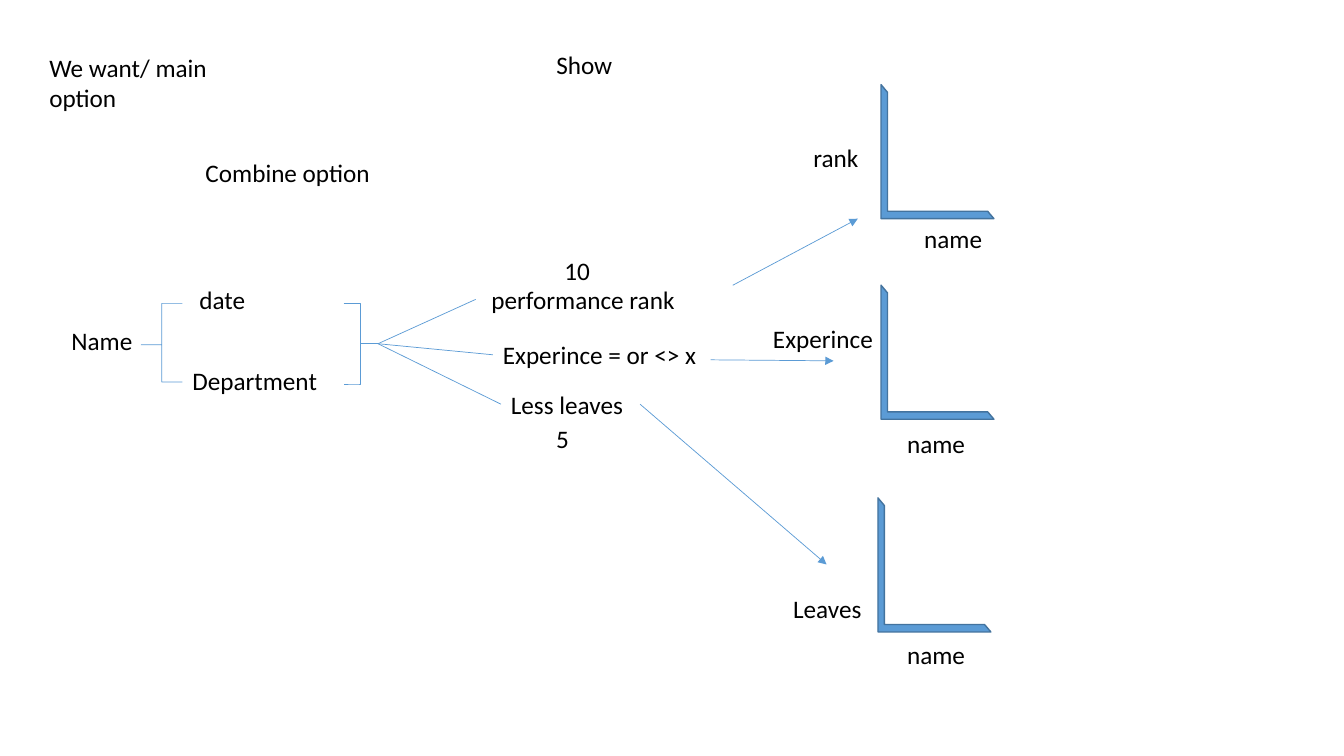
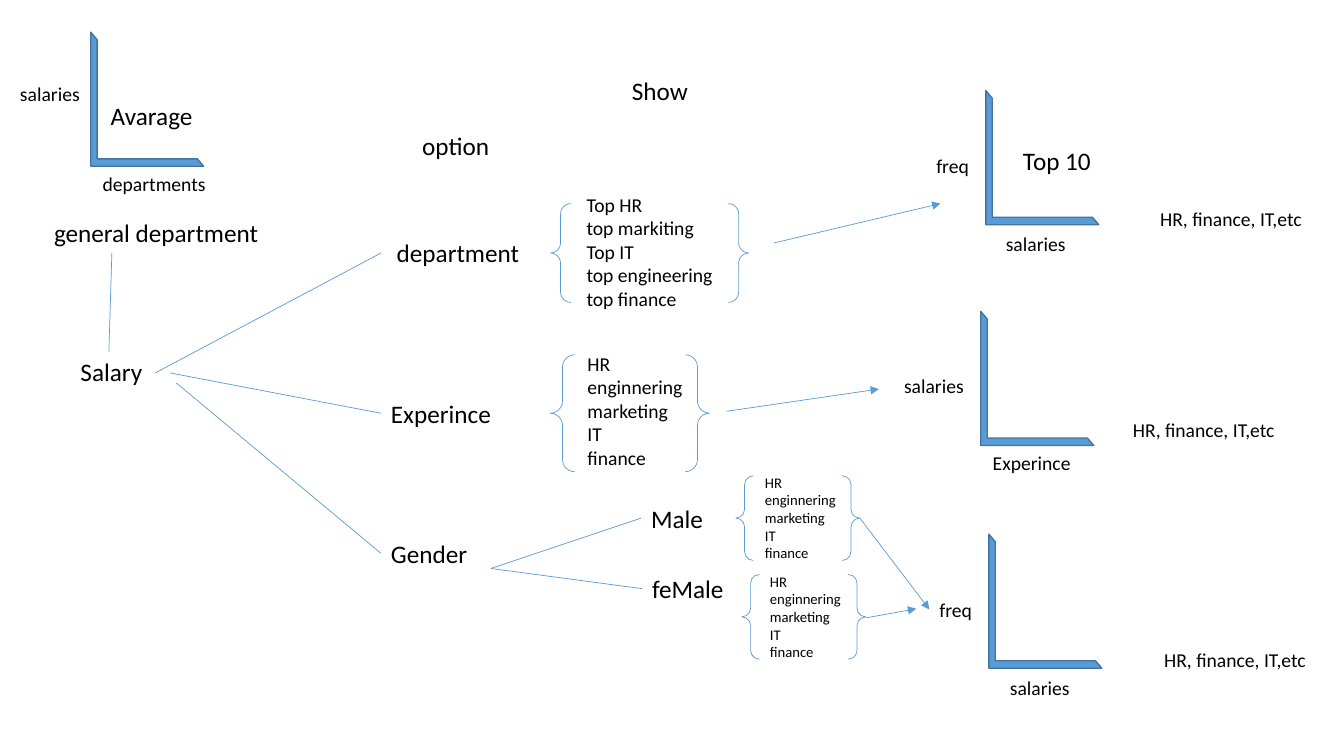
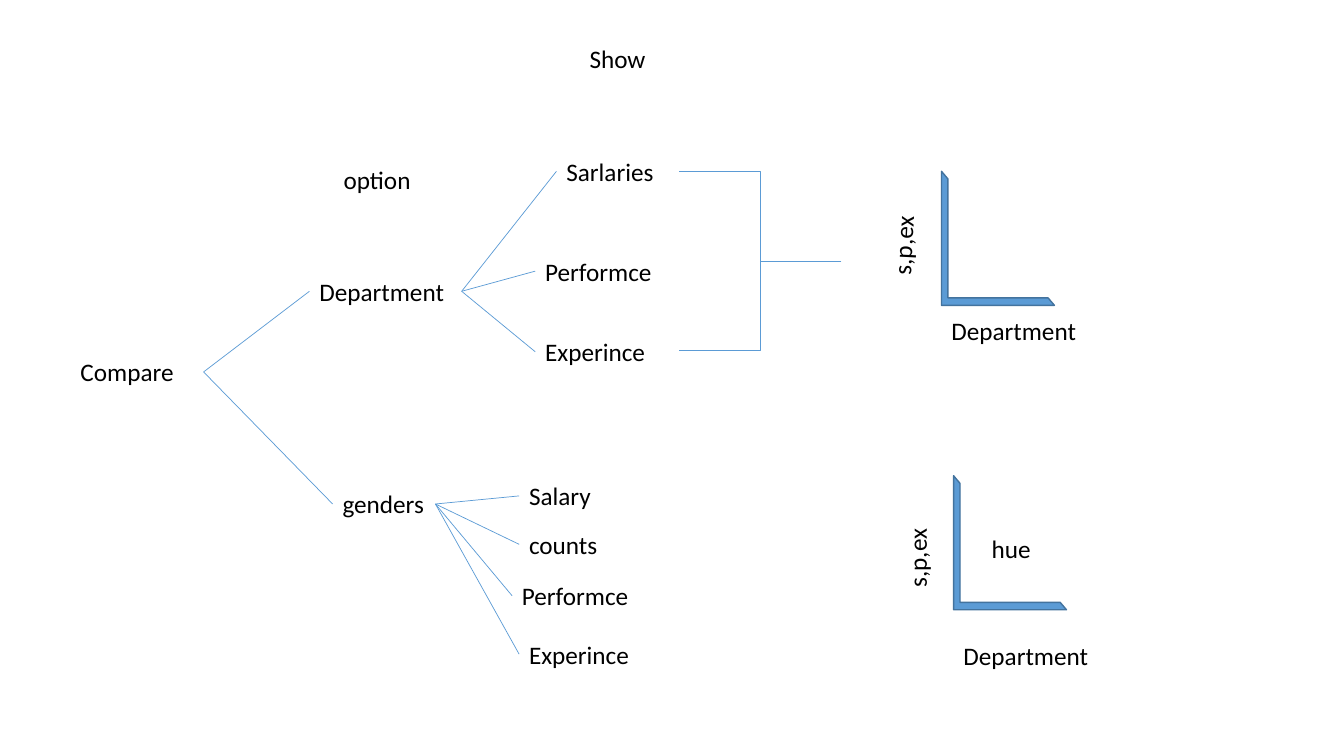
from dataclasses import dataclass, field

from pptx import Presentation, util as u
from pptx.dml.color import RGBColor
from pptx.enum import shapes, text
from pptx.oxml.ns import qn
from pptx.oxml.xmlchemy import OxmlElement

COLS, ROWS = 133.33, 75
CELL = 0.1
FONT = "Calibri"
INK, BLUE, EDGE = "000000", "5B9BD5", "43739E"
HAIRLINE = 0.5
PLOT_W, PLOT_H = 11.2, 13.3
SNAP = 0.3

Point = tuple[float, float]


@dataclass
class Label:
    text: str
    left: float
    top: float
    width: float
    size: float = 18
    wrap: bool = False
    indent: float = 0
    rotation: float = 0

    @property
    def height(self) -> float:
        return len(self.text.splitlines()) * self.size / 6 + 1

    def sides(self) -> list[Point]:
        right, bottom = self.left + self.width, self.top + self.height
        x, y = self.left + self.width / 2, self.top + self.height / 2
        return [(x, self.top), (self.left, y), (x, bottom), (right, y)]


@dataclass
class Brace:
    kind: shapes.MSO_SHAPE
    left: float
    top: float
    width: float
    height: float
    bends: tuple[float, ...]


@dataclass
class Fan:
    start: Point
    ends: list[Point]
    arrow: bool = False


@dataclass
class Page:
    labels: list[Label]
    plots: list[Point]
    braces: list[Brace]
    fans: list[Fan] = field(default_factory=list)


def grid(cells: float) -> u.Length:
    return u.Inches(cells * CELL)


def colour(value: str) -> RGBColor:
    return RGBColor.from_string(value)


def set_line(line, value: str, width: float) -> None:
    line.color.rgb = colour(value)
    line.width = u.Pt(width)


def draw_label(s, label: Label):
    sp = s.shapes.add_textbox(*map(grid, (label.left, label.top, label.width, label.height)))
    sp.rotation = label.rotation
    tf = sp.text_frame
    tf.word_wrap = label.wrap
    tf.auto_size = text.MSO_AUTO_SIZE.SHAPE_TO_FIT_TEXT
    tf.margin_left = grid(1 + label.indent)
    tf.text = label.text
    for p in tf.paragraphs:
        p.font.name = FONT
        p.font.size = u.Pt(label.size)
        p.font.color.rgb = colour(INK)
    return sp


def draw_shape(s, kind: shapes.MSO_SHAPE, box: tuple[float, ...], bends: tuple[float, ...]):
    sp = s.shapes.add_shape(kind, *map(grid, box))
    sp.shadow.inherit = False
    for i, bend in enumerate(bends):
        sp.adjustments[i] = bend
    return sp


def draw_plot(s, corner: Point) -> None:
    sp = draw_shape(s, shapes.MSO_SHAPE.HALF_FRAME, (*corner, PLOT_W, PLOT_H), (0.066, 0.057))
    sp.element.spPr.find(qn("a:xfrm")).set("flipV", "1")
    sp.fill.solid()
    sp.fill.fore_color.rgb = colour(BLUE)
    set_line(sp.line, EDGE, 1)


def draw_brace(s, brace: Brace) -> None:
    box = (brace.left, brace.top, brace.width, brace.height)
    sp = draw_shape(s, brace.kind, box, brace.bends)
    sp.fill.background()
    set_line(sp.line, BLUE, HAIRLINE)


def join(connect, point: Point, boxes: list) -> None:
    for label, sp in boxes:
        for site, (x, y) in enumerate(label.sides()):
            if abs(x - point[0]) < SNAP and abs(y - point[1]) < SNAP:
                connect(sp, site)
                return


def draw_fan(s, fan: Fan, boxes: list) -> None:
    for end in fan.ends:
        line = s.shapes.add_connector(shapes.MSO_CONNECTOR.STRAIGHT, *map(grid, (*fan.start, *end)))
        set_line(line.line, BLUE, HAIRLINE)
        line.element.spPr.append(OxmlElement("a:effectLst"))
        if fan.arrow:
            tail = OxmlElement("a:tailEnd")
            tail.set("type", "triangle")
            line.line._get_or_add_ln().append(tail)
        join(line.begin_connect, fan.start, boxes)
        join(line.end_connect, end, boxes)


def draw_page(prs, page: Page) -> None:
    s = prs.slides.add_slide(prs.slide_layouts[6])
    for corner in page.plots:
        draw_plot(s, corner)
    for brace in page.braces:
        draw_brace(s, brace)
    boxes = [(label, draw_label(s, label)) for label in page.labels]
    for fan in page.fans:
        draw_fan(s, fan, boxes)


LEFT, RIGHT, PAIR = (
    shapes.MSO_SHAPE.LEFT_BRACE, shapes.MSO_SHAPE.RIGHT_BRACE, shapes.MSO_SHAPE.DOUBLE_BRACE)
CURVE = (0.104,)
SPACE = 0.56
TEAMS = "HR\nenginnering\nmarketing\nIT\nfinance"
TOP_TEAMS = "Top HR\ntop markiting\nTop IT\ntop engineering\ntop finance"
TEAM_LINE = "HR, finance, IT,etc"

RANKING = Page(
    labels=[
        Label("We want/ main\voption", 3.9, 4.7, 20.2, wrap=True),
        Label("Combine option", 19.4, 15.1, 19.1),
        Label("Show", 54.2, 4.4, 8.2),
        Label("Name", 6.1, 31.8, 13.1, wrap=True),
        Label("date", 18.8, 27.7, 13.1, wrap=True),
        Label("Department", 18.1, 35.8, 15.1, wrap=True),
        Label("10", 55, 24.8, 4.6),
        Label("performance rank", 47.2, 27.7, 21, indent=SPACE),
        Label("Experince = or <> x", 48.9, 33.2, 21.4),
        Label("Less leaves", 49.7, 38.1, 13.8),
        Label("5", 54.2, 41.5, 3.3),
        Label("rank", 79.7, 13.6, 6.5),
        Label("name", 90.7, 21.7, 7.8),
        Label("Experince", 75.7, 31.6, 12),
        Label("name", 89, 42, 7.8),
        Label("Leaves", 77.7, 58.4, 9.5),
        Label("name", 89, 62.9, 7.8),
    ],
    plots=[(87.4, 8.4), (87.4, 28.3), (87.1, 49.4)],
    braces=[
        Brace(LEFT, 14, 30.1, 4.1, 7.8, (0, 0.527)),
        Brace(RIGHT, 34.1, 30.1, 3.4, 8, (0, 0.5)),
    ],
    fans=[
        Fan((37.5, 34.1), [(47.2, 29.7), (48.9, 35.3), (49.7, 40.1)]),
        Fan((72.7, 28.3), [(85.1, 21.7)], arrow=True),
        Fan((70.5, 35.7), [(82.7, 35.8)], arrow=True),
        Fan((63.7, 40.2), [(82, 56)], arrow=True),
    ],
)

SALARY = Page(
    labels=[
        Label("salaries", 1, 7.6, 8, 14),
        Label("Avarage", 10, 9.5, 10.8),
        Label("departments", 9.2, 16.6, 12.4, 14),
        Label("general department", 3.8, 21.1, 23.1, indent=SPACE),
        Label("Salary", 7, 34.9, 13.2, wrap=True),
        Label("option", 40.9, 12.4, 9.3),
        Label("Show", 61.7, 7, 8.2),
        Label("department", 37.8, 23.1, 15.5, indent=SPACE),
        Label("Experince", 37.8, 39, 12.6),
        Label("Gender", 37.8, 52.9, 10.8),
        Label("Male", 63.6, 49.4, 7.8),
        Label("feMale", 63.7, 56.4, 9.8),
        Label(TOP_TEAMS, 57.2, 18.6, 16.2, 14, wrap=True),
        Label(TEAMS, 57.3, 34.4, 12, 14),
        Label(TEAMS, 74.9, 46.5, 9.5, 10.5),
        Label(TEAMS, 75.4, 56.3, 9.5, 10.5),
        Label("freq", 91.9, 14.8, 5.3, 14),
        Label("Top 10", 100.5, 13.9, 8.8),
        Label("salaries", 98.8, 22.5, 8, 14),
        Label(TEAM_LINE, 114.1, 20, 16.2, 14),
        Label("salaries", 88.7, 36.6, 8, 14),
        Label("Experince", 97.5, 44.2, 10.3, 14),
        Label(TEAM_LINE, 111.4, 41, 16.2, 14),
        Label("freq", 92.2, 58.8, 5.3, 14),
        Label("salaries", 99.2, 66.6, 8, 14),
        Label(TEAM_LINE, 114.5, 63.8, 16.2, 14),
    ],
    plots=[(9, 3.2), (97.8, 9), (97.3, 30.9), (98.1, 53)],
    braces=[
        Brace(PAIR, 54.6, 20.2, 19.7, 9.8, CURVE),
        Brace(PAIR, 54.6, 35.2, 15.8, 11.6, CURVE),
        Brace(PAIR, 73, 47.2, 12.3, 8.4, CURVE),
        Brace(PAIR, 73.6, 57, 12.3, 8.4, CURVE),
    ],
    fans=[
        Fan((10.8, 34.9), [(11.1, 25.1)]),
        Fan((15.4, 37), [(37.8, 25.1)]),
        Fan((16.9, 37), [(37.8, 41)]),
        Fan((17.5, 38), [(37.8, 54.9)]),
        Fan((48.7, 56.4), [(63.6, 51.4), (63.7, 58.4)]),
        Fan((76.8, 24.1), [(93.3, 20.2)], arrow=True),
        Fan((72.1, 40.8), [(87.2, 38.6)], arrow=True),
        Fan((85.3, 51.4), [(92.2, 60.5)], arrow=True),
        Fan((85.9, 61.3), [(90.9, 60.4)], arrow=True),
    ],
)

COMPARE = Page(
    labels=[
        Label("Compare", 7, 34.9, 13.2, wrap=True),
        Label("option", 33.1, 15.8, 8.8),
        Label("Show", 57.5, 3.8, 8.2),
        Label("Department", 30.7, 26.9, 15.1),
        Label("genders", 33, 48, 10.2),
        Label("Sarlaries", 55.2, 15, 11.3),
        Label("Performce", 53.1, 24.9, 13.3),
        Label("Experince", 53.1, 32.9, 12.6),
        Label("Salary", 51.5, 47.2, 9.4),
        Label("counts", 51.5, 52, 10),
        Label("Performce", 50.8, 57.1, 13.3),
        Label("Experince", 51.5, 62.9, 12.6),
        Label("s,p,ex", 85.6, 22.3, 7.9, rotation=272.8),
        Label("Department", 93.4, 30.8, 17.4, wrap=True),
        Label("s,p,ex", 87, 53.3, 7.9, rotation=270),
        Label("hue", 97.4, 52.4, 5.9),
        Label("Department", 94.6, 63, 17.4, wrap=True),
    ],
    plots=[(93.4, 17), (94.6, 47.2)],
    braces=[Brace(RIGHT, 67.4, 17, 16, 17.8, (0, 0.5))],
    fans=[
        Fan((20.2, 37), [(30.7, 28.9), (33, 50)]),
        Fan((45.8, 28.9), [(55.2, 17), (53.1, 26.9), (53.1, 34.9)]),
        Fan((43.2, 50), [(51.5, 49.2), (51.5, 54), (50.8, 59.1), (51.5, 64.9)]),
    ],
)


def main() -> None:
    prs = Presentation()
    prs.slide_width, prs.slide_height = grid(COLS), grid(ROWS)
    for page in (RANKING, SALARY, COMPARE):
        draw_page(prs, page)
    prs.save("out.pptx")


if __name__ == "__main__":
    main()
